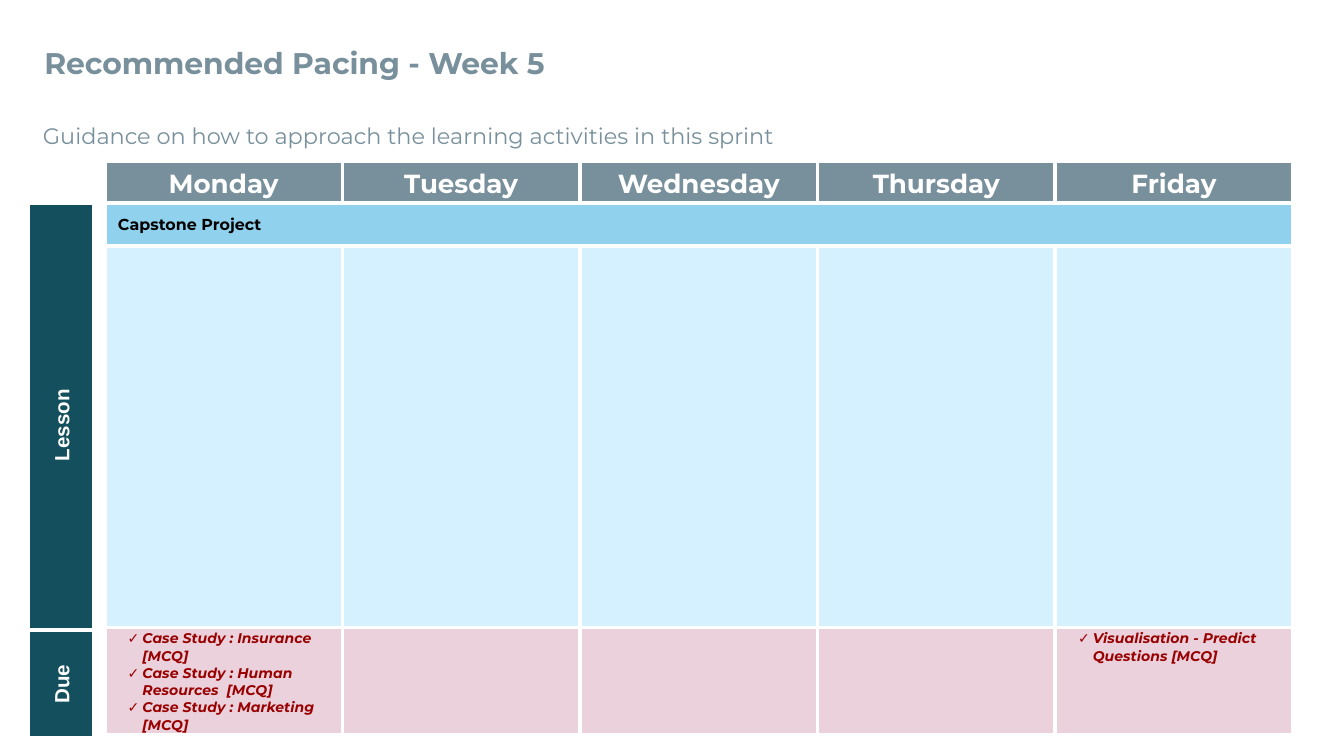
import pptx
import pptx.dml.color
import pptx.enum.shapes
import pptx.enum.text
import pptx.oxml
import pptx.oxml.ns
import pptx.util

Inches, Pt = pptx.util.Inches, pptx.util.Pt
RGBColor = pptx.dml.color.RGBColor
ALIGN = pptx.enum.text.PP_ALIGN
ANCHOR = pptx.enum.text.MSO_ANCHOR

WHITE = RGBColor(0xFF, 0xFF, 0xFF)
BLACK = RGBColor(0x00, 0x00, 0x00)
SLATE = RGBColor(0x78, 0x90, 0x9C)
TEAL = RGBColor(0x13, 0x4F, 0x5C)
SKY = RGBColor(0x90, 0xD1, 0xED)
PALE_BLUE = RGBColor(0xD5, 0xF1, 0xFF)
PINK = RGBColor(0xEA, 0xD1, 0xDC)
DARK_RED = RGBColor(0x99, 0x00, 0x00)
FONT = "Montserrat"
RULE = 2.25

SLIDE_W = 10
SLIDE_H = SLIDE_W * 9 / 16
MARGIN = 0.25
GRID_X, GRID_Y, GRID_W = 0.78, 1.2, 8.84
HEAD_H, LESSON_H, DUE_H = 0.31, 3.16, 0.8
LESSON_Y = GRID_Y + HEAD_H
DUE_Y = LESSON_Y + LESSON_H
BANNER_H = 0.32
TAB_X, TAB_W = 0.21, 0.49

DAYS = ["Monday", "Tuesday", "Wednesday", "Thursday", "Friday"]
DUE = {
    "Monday": ["Case Study : Insurance [MCQ]",
               "Case Study : Human Resources  [MCQ]",
               "Case Study : Marketing [MCQ]"],
    "Friday": ["Visualisation - Predict Questions [MCQ]"],
}


def add_run(p, text, size, color, bold=True, italic=False, font=FONT):
    r = p.add_run()
    r.text = text
    r.font.name = font
    r.font.size = Pt(size)
    r.font.color.rgb = color
    r.font.bold = bold
    r.font.italic = italic


def set_margins(holder, x, y):
    holder.margin_left = holder.margin_right = Inches(x)
    holder.margin_top = holder.margin_bottom = Inches(y)


def add_heading(s, box, text, size, bold, inset, anchor, spacing):
    tf = s.shapes.add_textbox(*map(Inches, box)).text_frame
    tf.word_wrap = True
    tf.vertical_anchor = anchor
    set_margins(tf, inset, 0.04)
    p = tf.paragraphs[0]
    p.line_spacing = spacing
    add_run(p, text, size, SLATE, bold)


def add_block(s, box, text, size, fill, color, align, font=FONT, upright=False):
    """Outlined label; an upright one reads from bottom to top inside its box."""
    x, y, w, h = box
    if upright:
        x, y, w, h = x + (w - h) / 2, y + (h - w) / 2, h, w
    sp = s.shapes.add_shape(pptx.enum.shapes.MSO_SHAPE.RECTANGLE,
                            *map(Inches, (x, y, w, h)))
    sp.rotation = 270 if upright else 0
    sp.shadow.inherit = False
    sp.fill.solid()
    sp.fill.fore_color.rgb = fill
    sp.line.color.rgb = WHITE
    sp.line.width = Pt(RULE)
    tf = sp.text_frame
    tf.word_wrap = True
    tf.vertical_anchor = ANCHOR.MIDDLE
    set_margins(tf, 0.1, 0.1)
    p = tf.paragraphs[0]
    p.alignment = align
    add_run(p, text, size, color, font=font)


def style_cell(cell, fill):
    tc_pr = cell._tc.get_or_add_tcPr()
    for side in "LRTB":
        tc_pr.append(pptx.oxml.parse_xml(
            f'<a:ln{side} {pptx.oxml.ns.nsdecls("a")} w="{Pt(RULE)}">'
            f'<a:solidFill><a:srgbClr val="{WHITE}"/></a:solidFill></a:ln{side}>'))
    cell.fill.solid()
    cell.fill.fore_color.rgb = fill
    set_margins(cell, 0.03, 0.02)


def add_check(p):
    p_pr = p._p.get_or_add_pPr()
    p_pr.set("marL", str(Inches(0.25)))
    p_pr.set("indent", str(Inches(-0.11)))
    ns = pptx.oxml.ns.nsdecls("a")
    for xml in (f'<a:buClr {ns}><a:srgbClr val="{DARK_RED}"/></a:buClr>',
                f'<a:buFont {ns} typeface="{FONT}"/>',
                f'<a:buChar {ns} char="✓"/>'):
        p_pr.append(pptx.oxml.parse_xml(xml))


def add_week_table(s, box):
    heights = (HEAD_H, LESSON_H, DUE_H)
    table = s.shapes.add_table(len(heights), len(DAYS), *map(Inches, box)).table
    table.first_row = table.horz_banding = False
    for row, height, fill in zip(table.rows, heights, (SLATE, PALE_BLUE, PINK)):
        row.height = Inches(height)
        for cell in row.cells:
            style_cell(cell, fill)
    for i, day in enumerate(DAYS):
        table.columns[i].width = Inches(box[2] / len(DAYS))
        head = table.cell(0, i)
        head.vertical_anchor = ANCHOR.MIDDLE
        p = head.text_frame.paragraphs[0]
        p.alignment = ALIGN.CENTER
        p.line_spacing = 1.15
        add_run(p, day, 14, WHITE)
        tf = table.cell(2, i).text_frame
        for n, task in enumerate(DUE.get(day, [])):
            p = tf.add_paragraph() if n else tf.paragraphs[0]
            add_check(p)
            add_run(p, task, 7.5, DARK_RED, italic=True)


def main():
    prs = pptx.Presentation()
    prs.slide_width, prs.slide_height = Inches(SLIDE_W), Inches(SLIDE_H)
    s = prs.slides.add_slide(prs.slide_layouts[6])
    width = SLIDE_W - 2 * MARGIN
    add_heading(s, (MARGIN, 0.13, width, 0.67), "Recommended Pacing - Week 5",
                16, True, 0.08, ANCHOR.MIDDLE, 1.0)
    add_heading(s, (MARGIN, 0.81, width, 0.39),
                "Guidance on how to approach the learning activities in this sprint",
                12, False, 0.07, ANCHOR.TOP, 1.3)
    add_week_table(s, (GRID_X, GRID_Y, GRID_W, HEAD_H + LESSON_H + DUE_H))
    for text, y, h in (("Lesson", LESSON_Y, 3.31), ("Due", DUE_Y + 0.02, DUE_H)):
        add_block(s, (TAB_X, y, TAB_W, h), text, 11, TEAL, WHITE,
                  ALIGN.CENTER, "Arial", upright=True)
    add_block(s, (GRID_X, LESSON_Y, GRID_W, BANNER_H), "Capstone Project",
              8.5, SKY, BLACK, ALIGN.LEFT)
    prs.save("out.pptx")


if __name__ == "__main__":
    main()
